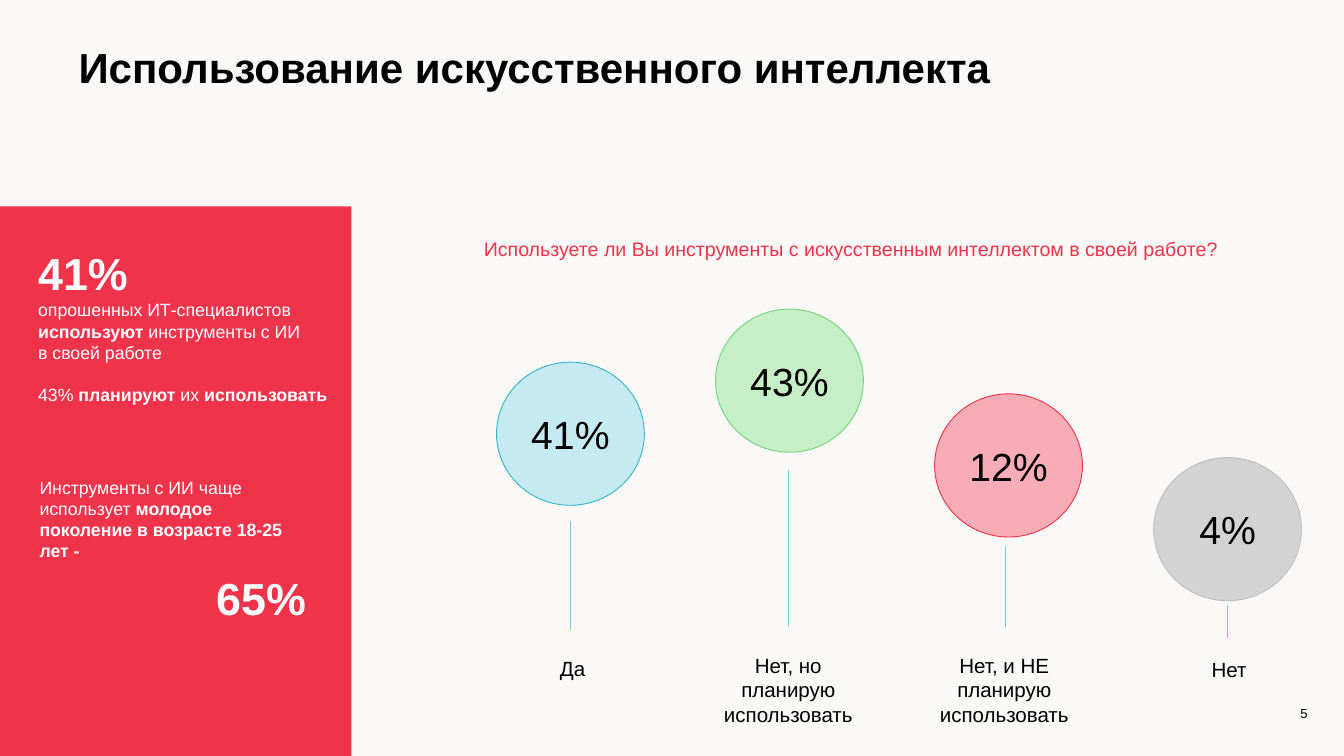
from lxml import etree
from pptx import Presentation
from pptx.dml.color import RGBColor
from pptx.enum.shapes import MSO_CONNECTOR, MSO_SHAPE
from pptx.enum.text import MSO_ANCHOR, MSO_AUTO_SIZE, PP_ALIGN
from pptx.oxml.ns import qn
from pptx.util import Pt

BACKGROUND = RGBColor(0xFB, 0xF8, 0xF8)
BLACK = RGBColor(0x00, 0x00, 0x00)
WHITE = RGBColor(0xFF, 0xFF, 0xFF)
RED = RGBColor(0xEF, 0x33, 0x4B)
PINK = RGBColor(0xF8, 0xAC, 0xB6)
TEAL = RGBColor(0x32, 0xB4, 0xCB)
STEM = RGBColor(0x74, 0xCD, 0xDD)
PALE_BLUE = RGBColor(0xC6, 0xEA, 0xF1)
GREEN = RGBColor(0x73, 0xD7, 0x77)
PALE_GREEN = RGBColor(0xC6, 0xEE, 0xC7)
GREY = RGBColor(0xBD, 0xBD, 0xBD)
PALE_GREY = RGBColor(0xD3, 0xD3, 0xD3)

BUBBLE_LEFT, BUBBLE_STEP = 532, 234.7
BUBBLE_WIDTH, BUBBLE_HEIGHT = 158.4, 153.4

# share, fill, outline, bubble top, stem (x, top, bottom), label, label box
ANSWERS = [
    ("41%", PALE_BLUE, TEAL, 388, (610.6, 558, 675.4),
     "Да", (578.2, 694, 70.6, 43.2)),
    ("43%", PALE_GREEN, GREEN, 331.2, (844.6, 504, 671.8),
     "Нет, но планирую использовать", (759.6, 699.8, 170, 78.5)),
    ("12%", PINK, RED, 422, (1077.1, 585.4, 671.8),
     "Нет, и НЕ планирую использовать", (980.6, 699.8, 190.8, 78.5)),
    ("4%", PALE_GREY, GREY, 490.3, (1315.4, 648, 684),
     "Нет", (1281.6, 699.8, 70.6, 35.3)),
]


class SlideBuilder:
    font_name = "Arial"

    def __init__(self, slide):
        self.slide = slide
        slide.background.fill.solid()
        slide.background.fill.fore_color.rgb = BACKGROUND

    def format(self, paragraph, size, color=BLACK, align=PP_ALIGN.LEFT, bold=False):
        paragraph.alignment = align
        font = paragraph.font
        font.name, font.size, font.bold = self.font_name, Pt(size), bold
        font.color.rgb = color

    def title(self, text, left, top, width, height, size):
        title = self.slide.shapes.title
        title.left, title.top = Pt(left), Pt(top)
        title.width, title.height = Pt(width), Pt(height)
        frame = title.text_frame
        frame.text = text
        frame.auto_size = MSO_AUTO_SIZE.NONE
        frame.vertical_anchor = MSO_ANCHOR.MIDDLE
        self.format(frame.paragraphs[0], size, bold=True)

    def text_box(self, left, top, width, height, anchor=MSO_ANCHOR.MIDDLE):
        box = self.slide.shapes.add_textbox(Pt(left), Pt(top), Pt(width), Pt(height))
        frame = box.text_frame
        frame.word_wrap = True
        frame.vertical_anchor = anchor
        return frame

    def label(self, text, box, size, align=PP_ALIGN.CENTER):
        paragraph = self.text_box(*box).paragraphs[0]
        paragraph.text = text
        self.format(paragraph, size, align=align)

    def rich_line(self, paragraph, runs, size, color):
        """Each run is (text, bold, size or None); None as a run breaks the line."""
        self.format(paragraph, size, color)
        for item in runs:
            if item is None:
                paragraph.add_line_break()
                continue
            text, bold, run_size = item
            run = paragraph.add_run()
            run.text = text
            run.font.bold = bold
            run.font.size = Pt(run_size or size)

    def shape(self, kind, left, top, width, height, fill, outline=None):
        shape = self.slide.shapes.add_shape(kind, Pt(left), Pt(top), Pt(width), Pt(height))
        shape.shadow.inherit = False
        shape.fill.solid()
        shape.fill.fore_color.rgb = fill
        if outline is None:
            shape.line.fill.background()
        else:
            shape.line.color.rgb = outline
            shape.line.width = Pt(1)
        return shape

    def bubble(self, text, left, top, fill, outline):
        shape = self.shape(MSO_SHAPE.OVAL, left, top, BUBBLE_WIDTH, BUBBLE_HEIGHT,
                           fill, outline)
        frame = shape.text_frame
        frame.vertical_anchor = MSO_ANCHOR.MIDDLE
        frame.text = text
        self.format(frame.paragraphs[0], 42, align=PP_ALIGN.CENTER)

    def stem(self, x, top, bottom):
        line = self.slide.shapes.add_connector(
            MSO_CONNECTOR.STRAIGHT, Pt(x), Pt(top), Pt(x), Pt(bottom))
        line.line.color.rgb = STEM
        line.line.width = Pt(0.75)
        etree.SubElement(line._element.spPr, qn("a:effectLst"))


def main():
    presentation = Presentation()
    presentation.slide_width, presentation.slide_height = Pt(1440), Pt(810)
    slide = presentation.slides.add_slide(presentation.slide_layouts[5])
    builder = SlideBuilder(slide)

    # Title and page number
    builder.title("Использование искусственного интеллекта", 77, 36, 1176.5, 71.3, 45)
    builder.label("5", (1344.2, 754.6, 64, 19.4), 14, PP_ALIGN.RIGHT)

    # Survey question
    frame = builder.text_box(518.4, 250.6, 842.4, 40.3, MSO_ANCHOR.TOP)
    frame.margin_left = frame.margin_right = frame.margin_top = frame.margin_bottom = 0
    question = frame.paragraphs[0]
    question.text = "Используете ли Вы инструменты с искусственным интеллектом в своей работе?"
    question.line_spacing = 1.14
    builder.format(question, 21, RED)

    # Answers: bubble, stem and label
    for index, (share, fill, outline, top, stem, label, box) in enumerate(ANSWERS):
        builder.bubble(share, BUBBLE_LEFT + index * BUBBLE_STEP, top, fill, outline)
        builder.stem(*stem)
        builder.label(label, box, 22)

    # Side panel
    builder.shape(MSO_SHAPE.RECTANGLE, 0, 221, 376.6, 589, RED)

    usage = builder.text_box(33.8, 275, 344.9, 146.9)
    builder.rich_line(usage.paragraphs[0], [
        ("41%", True, 48), None,
        ("опрошенных ИТ-специалистов ", False, None), ("используют", True, None),
        (" инструменты с ИИ", False, None), None,
        ("в своей работе", False, None)], 19, WHITE)
    plans = usage.add_paragraph()
    plans.space_before = Pt(22)
    builder.rich_line(plans, [
        ("43% ", False, None), ("планируют", True, None),
        (" их ", False, None), ("использовать", True, None)], 19, WHITE)

    young = builder.text_box(35.3, 513.4, 299.5, 152.6)
    builder.rich_line(young.paragraphs[0], [
        ("Инструменты с ИИ чаще использует ", False, None),
        ("молодое поколение в возрасте 18-25 лет -", True, None)], 19, WHITE)
    young_share = young.add_paragraph()
    young_share.text = "65%"
    young_share.space_before = Pt(10)
    builder.format(young_share, 48, WHITE, PP_ALIGN.RIGHT, bold=True)

    presentation.save("out.pptx")


if __name__ == "__main__":
    main()
